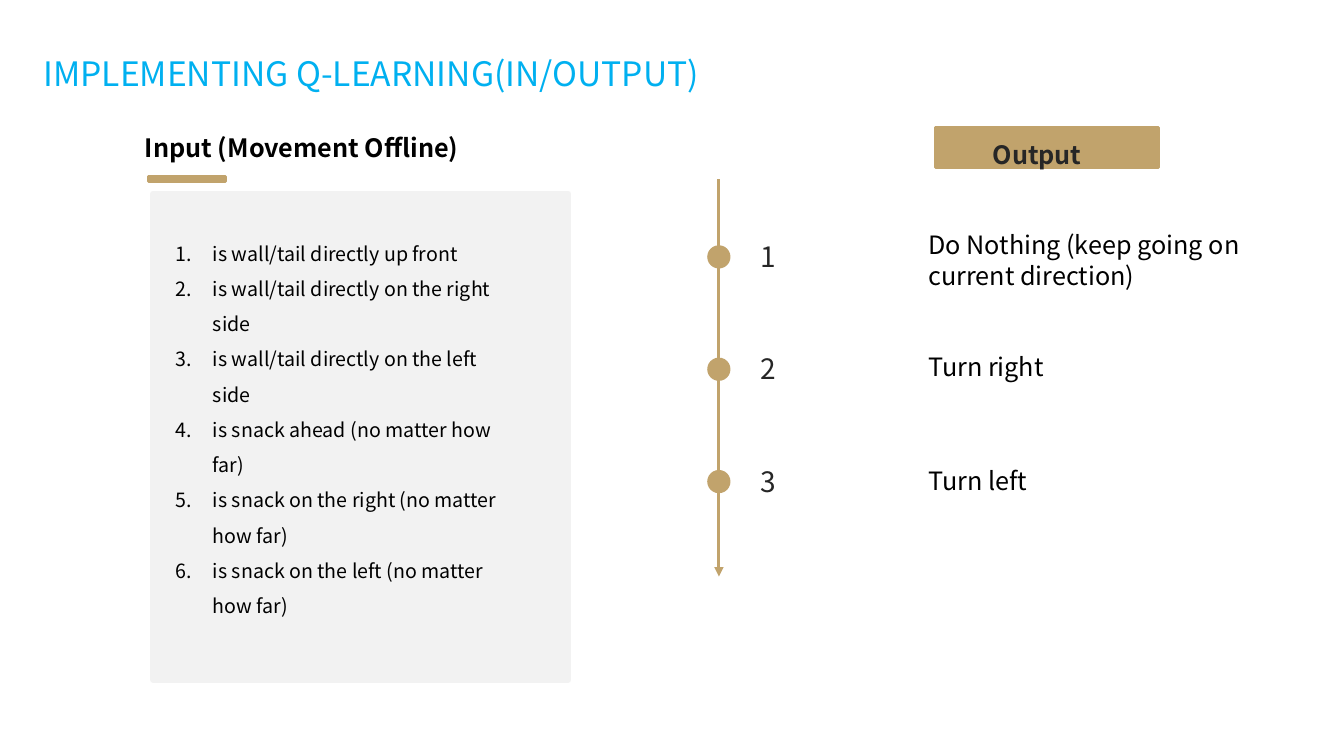
"""Build the slide on the inputs and outputs of Q-learning."""
import pptx
import pptx.util
import pptx.dml.color
import pptx.enum.shapes
import pptx.enum.text
import pptx.oxml.ns
import lxml.etree

Pt = pptx.util.Pt
RGBColor = pptx.dml.color.RGBColor
MSO_SHAPE = pptx.enum.shapes.MSO_SHAPE
qn = pptx.oxml.ns.qn

GOLD = RGBColor(0xC1, 0xA3, 0x6C)
GREY = RGBColor(0xF2, 0xF2, 0xF2)
DARK = RGBColor(0x26, 0x26, 0x26)
BLACK = RGBColor(0, 0, 0)
BLUE = RGBColor(0x00, 0xB0, 0xF0)

INPUTS = [
    "is wall/tail directly up front",
    "is wall/tail directly on the right side",
    "is wall/tail directly on the left side",
    "is snack ahead (no matter how far)",
    "is snack on the right (no matter how far)",
    "is snack on the left (no matter how far)",
]
ACTIONS = [
    ("Do Nothing (keep going on current direction)", 160.5, 51),
    ("Turn right", 247.5, 29),
    ("Turn left", 328.5, 29),
]
AXIS_X = 513.5
DOT = 16.6
FIRST_DOT_Y = 183.5
PITCH = 80.25


class Deck:
    def __init__(self, font):
        self.font = font
        self.prs = pptx.Presentation()
        self.prs.slide_width, self.prs.slide_height = Pt(960), Pt(540)
        self.s = self.prs.slides.add_slide(self.prs.slide_layouts[5])

    def style(self, p, size, color, bold=False, spacing=None):
        p.alignment = pptx.enum.text.PP_ALIGN.LEFT
        if spacing:
            p.line_spacing = spacing
        for r in p.runs:
            r.font.name = self.font
            r.font.size = Pt(size)
            r.font.bold = bold
            r.font.color.rgb = color

    def title(self, text, x, y, w, h):
        sp = self.s.shapes.title
        sp.left, sp.top, sp.width, sp.height = Pt(x), Pt(y), Pt(w), Pt(h)
        tf = sp.text_frame
        tf.text = text
        tf.word_wrap = True
        tf.vertical_anchor = pptx.enum.text.MSO_ANCHOR.MIDDLE
        self.style(tf.paragraphs[0], 24, BLUE, spacing=0.9)

    def text(self, lines, x, y, w, h, size, color, bold=False, spacing=None, numbered=False):
        sp = self.s.shapes.add_textbox(Pt(x), Pt(y), Pt(w), Pt(h))
        tf = sp.text_frame
        tf.text = "\n".join(lines)
        tf.word_wrap = True
        tf.auto_size = pptx.enum.text.MSO_AUTO_SIZE.SHAPE_TO_FIT_TEXT
        for p in tf.paragraphs:
            self.style(p, size, color, bold, spacing)
            if numbered:
                pPr = p._p.get_or_add_pPr()
                pPr.set("marL", str(Pt(27)))
                pPr.set("indent", str(-Pt(27)))
                lxml.etree.SubElement(pPr, qn("a:buFont"), typeface="+mj-lt")
                lxml.etree.SubElement(pPr, qn("a:buAutoNum"), type="arabicPeriod")

    def shape(self, kind, x, y, w, h, color, line_width=0):
        sp = self.s.shapes.add_shape(kind, Pt(x), Pt(y), Pt(w), Pt(h))
        sp.shadow.inherit = False
        sp.fill.solid()
        sp.fill.fore_color.rgb = color
        if line_width:
            sp.line.color.rgb = color
            sp.line.width = Pt(line_width)
        else:
            sp.line.fill.background()

    def arrow(self, x1, y1, x2, y2, color, width):
        line = self.s.shapes.add_connector(
            pptx.enum.shapes.MSO_CONNECTOR.STRAIGHT, Pt(x1), Pt(y1), Pt(x2), Pt(y2))
        line.line.color.rgb = color
        line.line.width = Pt(width)
        lxml.etree.SubElement(line.line._get_or_add_ln(), qn("a:tailEnd"), type="triangle")
        lxml.etree.SubElement(line._element.spPr, qn("a:effectLst"))


def main():
    deck = Deck("Noto Sans CJK SC")
    deck.title("IMPLEMENTING Q-LEARNING(IN/OUTPUT)", 23.8, 25.2, 798, 57.6)

    deck.text(["Input (Movement Offline)"], 96.5, 90.7, 299.5, 29, 18, BLACK, bold=True)
    deck.shape(MSO_SHAPE.RECTANGLE, 109.4, 138.5, 296.6, 347, GREY, 4.5)
    deck.shape(MSO_SHAPE.RECTANGLE, 106, 126.2, 55.2, 3.6, GOLD, 2.25)
    deck.text(INPUTS, 118, 160.5, 254, 284.5, 14, BLACK, spacing=1.5, numbered=True)

    deck.shape(MSO_SHAPE.RECTANGLE, 668.2, 91, 159.6, 28.6, GOLD, 2.25)
    deck.text(["Output"], 702, 85, 161, 36, 18, DARK, bold=True, spacing=1.5)

    deck.arrow(AXIS_X, 128.2, AXIS_X, 411.8, GOLD, 2.25)
    for i, (action, top, height) in enumerate(ACTIONS):
        y = FIRST_DOT_Y + i * PITCH
        deck.shape(MSO_SHAPE.OVAL, AXIS_X - DOT / 2, y - DOT / 2, DOT, DOT, GOLD)
        deck.text([str(i + 1)], 536.5, y - 16, 100, 31.5, 20, DARK)
        deck.text([action], 656, top, 239, height, 18, BLACK)

    deck.prs.save("out.pptx")


if __name__ == "__main__":
    main()
